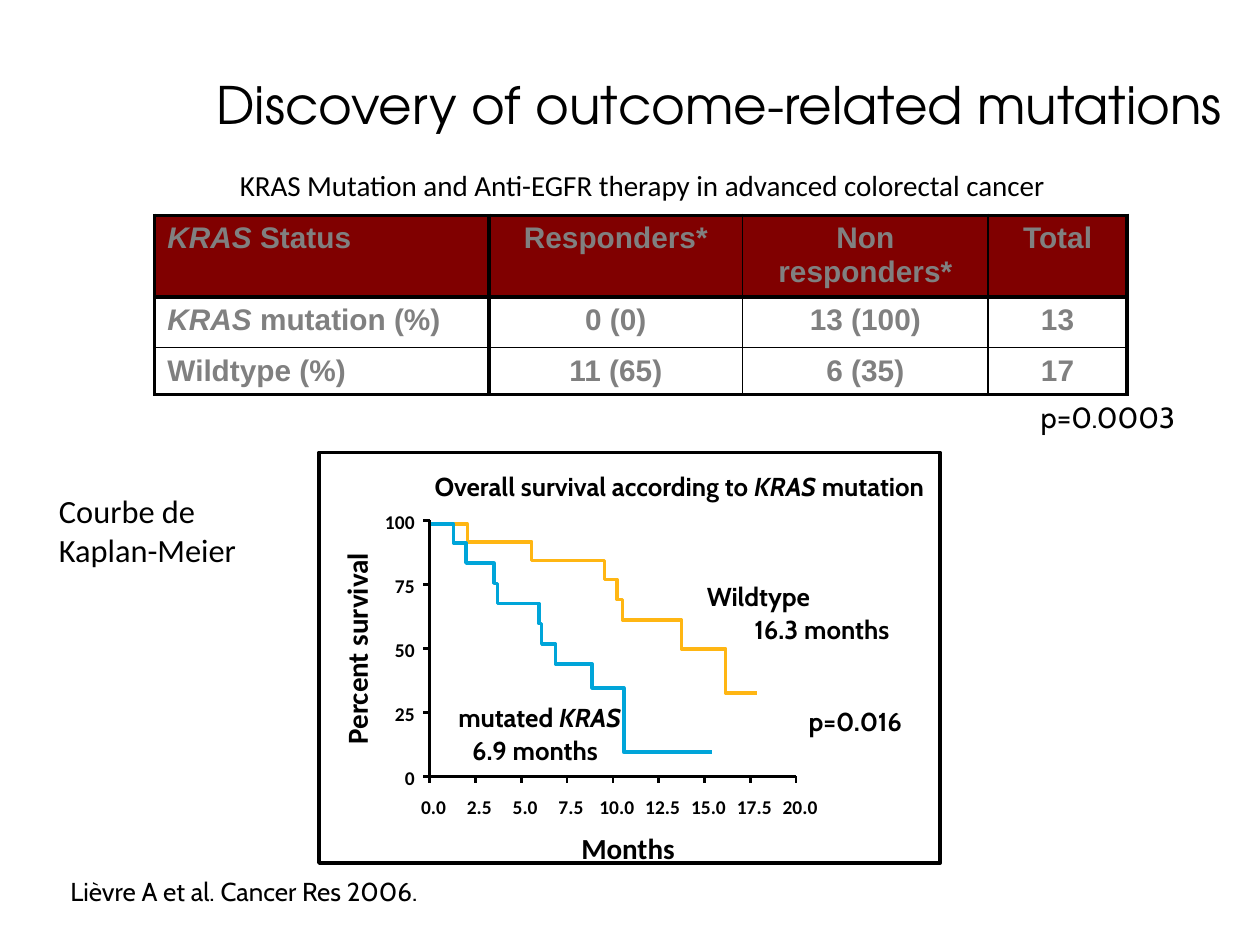
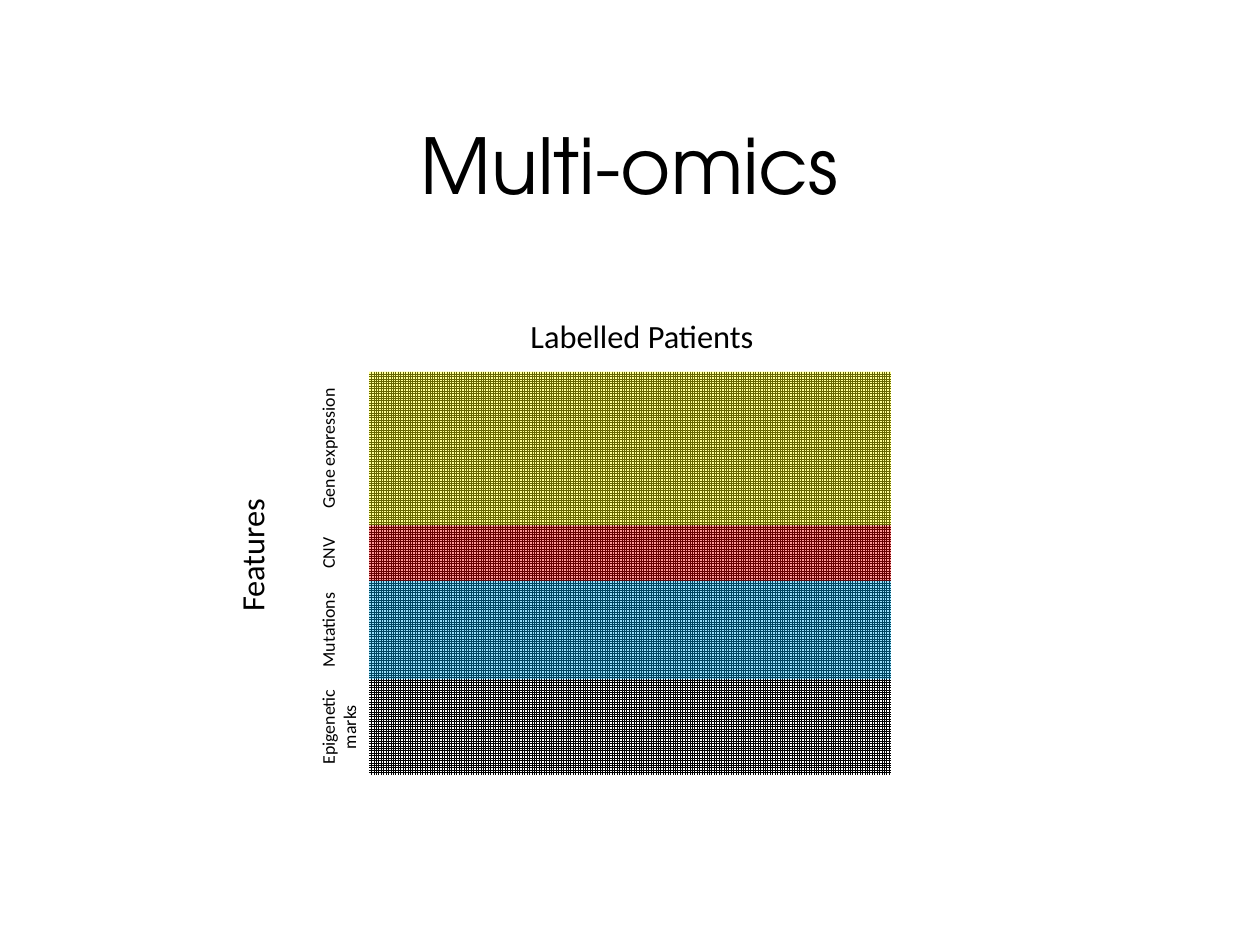
from dataclasses import dataclass

import pptx
import pptx.dml.color
import pptx.enum.dml
import pptx.enum.shapes
import pptx.enum.text
import pptx.oxml.ns
import pptx.util
from lxml import etree

Cm, Pt = pptx.util.Cm, pptx.util.Pt
RGB = pptx.dml.color.RGBColor.from_string
qn = pptx.oxml.ns.qn
ALIGN = pptx.enum.text.PP_ALIGN
ANCHOR = pptx.enum.text.MSO_ANCHOR
RECTANGLE = pptx.enum.shapes.MSO_SHAPE.RECTANGLE


@dataclass(frozen=True)
class Style:
    font: str
    size: float
    bold: bool = False
    color: str = "000000"


class Theme:
    black, white = "000000", "FFFFFF"
    table_header = "800000"
    wildtype, mutated = "FFB613", "00A5D9"
    expression, cnv, mutations = "FFFF00", "FF0000", "00B0F0"
    band_opacity = 40
    thick, thin = 2.25, 1
    curve_width, axis_width = 2, 1.5

    long_title = Style("TeX Gyre Adventor", 29.5)
    title = Style("TeX Gyre Adventor", 44)
    subtitle = Style("Calibri", 16.6)
    heading = Style("Calibri", 18.5)
    band_label = Style("Calibri", 10.2)
    cell = Style("Arial", 17, True, "808080")
    p_value = Style("Cabin", 16.6)
    citation = Style("Cabin", 14.8)
    annotation = Style("Cabin", 14.8, True)
    axis_title = Style("Calibri", 16.6, True)
    tick = Style("Calibri", 11.1, True)


# Content. A run is a string, or (string, True) when italic. Boxes are
# left, top, width, height in centimetres.
KRAS = ("KRAS", True)

RESPONSE_TITLE = "Discovery of outcome-related mutations"
RESPONSE_TEXTS = [
    (["KRAS Mutation and Anti-EGFR therapy in advanced colorectal cancer"],
     (2.97, 3.25, 19.94, 1.02), Theme.subtitle, ALIGN.CENTER),
    (["p=0.0003"], (20.73, 7.92, 3.33, 0.97), Theme.p_value, ALIGN.LEFT),
    (["Lièvre A et al. Cancer Res 2006."], (1.17, 17.53, 9.93, 0.89),
     Theme.citation, ALIGN.LEFT),
    (["Courbe de Kaplan-Meier"], (0.94, 9.78, 4.9, 1.83), Theme.heading, ALIGN.LEFT),
]

RESPONSE_ROWS = [
    [[KRAS, " Status"], ["Responders*"], ["Non responders*"], ["Total"]],
    [[KRAS, " mutation (%)"], ["0 (0)"], ["13 (100)"], ["13"]],
    [["Wildtype (%)"], ["11 (65)"], ["6 (35)"], ["17"]],
]
RESPONSE_ORIGIN = (3.12, 4.34)
RESPONSE_COLUMNS = [6.74, 5.11, 4.95, 2.8]
RESPONSE_HEIGHTS = [1.65, 1.02, 0.94]

SURVIVAL_FRAME = (6.43, 9.12, 12.52, 8.28)
SURVIVAL_AREA = (8.66, 10.49, 7.39, 5.16)
MAX_MONTHS, MAX_PERCENT = 20, 100
MONTH_TICKS = [2.5 * step for step in range(9)]
PERCENT_TICKS = range(0, 101, 25)
# Each pair is the month at which a level ends and the percent surviving until then.
SURVIVAL_CURVES = [
    (Theme.wildtype, [(2.06, 98.5), (5.57, 91.6), (9.55, 84.2), (10.24, 76.8),
                      (10.52, 69), (13.75, 61.1), (16.15, 49.8), (17.87, 32.5)]),
    (Theme.mutated, [(1.31, 98.5), (1.99, 91.1), (3.51, 83.3), (3.71, 75.4),
                     (5.98, 67.5), (6.12, 59.6), (6.87, 51.7), (8.87, 43.8),
                     (10.6, 34.5), (15.4, 9.4)]),
]
SURVIVAL_NOTES = [
    (["Overall survival according to ", KRAS, " mutation"], (8.51, 9.37, 10.4, 0.89)),
    (["Wildtype"], (14, 11.58, 2.79, 0.89)),
    (["16.3 months"], (14.96, 12.24, 3.53, 0.89)),
    (["mutated ", KRAS], (8.99, 14.02, 4.06, 0.89)),
    (["6.9 months"], (9.27, 14.68, 3.25, 0.89)),
    (["p=0.016"], (16.05, 14.1, 2.6, 0.89)),
]

OMICS_TITLE = "Multi-omics"
MATRIX = (7.44, 7.49, 10.52, 8.13)
# Label lines, band height, tint
OMICS_BANDS = [
    (["Gene expression"], 3.1, Theme.expression),
    (["CNV"], 1.12, Theme.cnv),
    (["Mutations"], 1.98, Theme.mutations),
    (["Epigenetic", "marks"], 1.93, None),
]
BAND_LABEL_LEFT, BAND_LABEL_LINE = 6.39, 0.43


def lengths(box):
    return [Cm(value) for value in box]


def add_runs(paragraph, runs, style, align):
    paragraph.alignment = align
    for item in runs:
        words, italic = (item, False) if isinstance(item, str) else item
        run = paragraph.add_run()
        run.text = words
        font = run.font
        font.name, font.size = style.font, Pt(style.size)
        font.bold, font.italic = style.bold, italic
        font.color.rgb = RGB(style.color)


def add_text(shapes, lines, box, style, align=ALIGN.LEFT, inset=True, upward=False):
    """Write lines of runs; upward text reads bottom to top inside the box."""
    left, top, width, height = box
    if upward:
        left, top = left + (width - height) / 2, top + (height - width) / 2
        width, height = height, width
    holder = shapes.add_textbox(*lengths((left, top, width, height)))
    if upward:
        holder.rotation = 270
    frame = holder.text_frame
    frame.word_wrap = True
    if not inset:
        frame.margin_left = frame.margin_right = 0
        frame.margin_top = frame.margin_bottom = 0
    for index, runs in enumerate(lines):
        paragraph = frame.add_paragraph() if index else frame.paragraphs[0]
        add_runs(paragraph, runs, style, align)


def add_titled_slide(deck, words, box, style, align, anchor):
    slide = deck.slides.add_slide(deck.slide_layouts[5])
    title = slide.shapes.title
    title.left, title.top, title.width, title.height = lengths(box)
    frame = title.text_frame
    frame.word_wrap = True
    frame.auto_size = pptx.enum.text.MSO_AUTO_SIZE.NONE
    frame.vertical_anchor = anchor
    add_runs(frame.paragraphs[0], [words], style, align)
    return slide


def add_rectangle(shapes, box):
    rectangle = shapes.add_shape(RECTANGLE, *lengths(box))
    rectangle.shadow.inherit = False
    rectangle.line.fill.background()
    return rectangle


def set_line(shape, color, width):
    shape.line.color.rgb = RGB(color)
    shape.line.width = Pt(width)


def add_axis_line(shapes, start, end):
    line = shapes.add_connector(pptx.enum.shapes.MSO_CONNECTOR.STRAIGHT,
                                *lengths(start + end))
    set_line(line, Theme.black, Theme.axis_width)
    etree.SubElement(line._element.spPr, qn("a:effectLst"))


def set_borders(cell, widths):
    properties = cell._tc.get_or_add_tcPr()
    for side, width in zip("LRTB", widths):
        border = etree.SubElement(properties, qn(f"a:ln{side}"), w=str(Pt(width)))
        fill = etree.SubElement(border, qn("a:solidFill"))
        etree.SubElement(fill, qn("a:srgbClr"), val=Theme.black)


def add_response_table(slide):
    row_count, column_count = len(RESPONSE_ROWS), len(RESPONSE_COLUMNS)
    box = (*RESPONSE_ORIGIN, sum(RESPONSE_COLUMNS), sum(RESPONSE_HEIGHTS))
    table = slide.shapes.add_table(row_count, column_count, *lengths(box)).table
    table.first_row = table.horz_banding = False
    for column, width in zip(table.columns, RESPONSE_COLUMNS):
        column.width = Cm(width)
    for row, height in zip(table.rows, RESPONSE_HEIGHTS):
        row.height = Cm(height)

    def rule(edge, last):
        """Outer rules and those next to the headings are thick."""
        return Theme.thick if edge in (0, 1, last) else Theme.thin

    for r, row in enumerate(RESPONSE_ROWS):
        for c, runs in enumerate(row):
            cell = table.cell(r, c)
            set_borders(cell, [rule(c, column_count), rule(c + 1, column_count),
                               rule(r, row_count), rule(r + 1, row_count)])
            if r == 0:
                cell.fill.solid()
                cell.fill.fore_color.rgb = RGB(Theme.table_header)
            else:
                cell.fill.background()
            add_runs(cell.text_frame.paragraphs[0], runs, Theme.cell,
                     ALIGN.CENTER if c else ALIGN.LEFT)


def add_survival_plot(slide):
    shapes = slide.shapes.add_group_shape().shapes
    left, top, width, height = SURVIVAL_AREA
    right, bottom = left + width, top + height
    tick_length, label_height = 0.13, 0.48

    def place(month, percent):
        return (left + width * month / MAX_MONTHS,
                bottom - height * percent / MAX_PERCENT)

    frame = add_rectangle(shapes, SURVIVAL_FRAME)
    frame.fill.solid()
    frame.fill.fore_color.rgb = RGB(Theme.white)
    set_line(frame, Theme.black, 2)

    for runs, box in SURVIVAL_NOTES:
        add_text(shapes, [runs], box, Theme.annotation)

    for color, levels in SURVIVAL_CURVES:
        points, month = [], 0
        for end, percent in levels:
            points += [lengths(place(month, percent)), lengths(place(end, percent))]
            month = end
        builder = shapes.build_freeform(*points[0])
        builder.add_line_segments(points[1:], close=False)
        curve = builder.convert_to_shape()
        curve.shadow.inherit = False
        curve.fill.background()
        set_line(curve, color, Theme.curve_width)

    add_axis_line(shapes, (left, top), (left, bottom))
    add_axis_line(shapes, (left, bottom), (right, bottom))
    for percent in PERCENT_TICKS:
        x, y = place(0, percent)
        add_axis_line(shapes, (x - tick_length, y), (x, y))
        add_text(shapes, [[str(percent)]], (x - 1.1, y - 0.21, 0.8, label_height),
                 Theme.tick, ALIGN.RIGHT, inset=False)
    for month in MONTH_TICKS:
        x, y = place(month, 0)
        add_axis_line(shapes, (x, y + tick_length), (x, y))
        add_text(shapes, [[f"{month:.1f}"]], (x - 0.37, y + 0.38, 0.9, label_height),
                 Theme.tick, ALIGN.CENTER, inset=False)
    add_text(shapes, [["Months"]], (11.41, 16.74, 2.5, 0.71),
             Theme.axis_title, ALIGN.CENTER, inset=False)
    add_text(shapes, [["Percent survival"]], (6.83, 10.78, 0.71, 4.6),
             Theme.axis_title, ALIGN.CENTER, inset=False, upward=True)


def add_omics_matrix(slide):
    left, top, width, _ = MATRIX
    grid = add_rectangle(slide.shapes, MATRIX)
    grid.fill.patterned()
    grid.fill.pattern = pptx.enum.dml.MSO_PATTERN.SMALL_GRID
    grid.fill.fore_color.rgb = RGB(Theme.black)
    grid.fill.back_color.rgb = RGB(Theme.white)

    for lines, height, tint in OMICS_BANDS:
        label_box = (BAND_LABEL_LEFT, top, BAND_LABEL_LINE * len(lines), height)
        add_text(slide.shapes, [[line] for line in lines], label_box,
                 Theme.band_label, ALIGN.CENTER, inset=False, upward=True)
        if tint:
            band = add_rectangle(slide.shapes, (left, top, width, height))
            band.fill.solid()
            band.fill.fore_color.rgb = RGB(tint)
            color = band._element.spPr.find(qn("a:solidFill")).find(qn("a:srgbClr"))
            etree.SubElement(color, qn("a:alpha"), val=str(Theme.band_opacity * 1000))
        top += height


def main():
    deck = pptx.Presentation()
    deck.slide_width, deck.slide_height = Cm(25.4), Cm(19.05)

    response = add_titled_slide(deck, RESPONSE_TITLE, (4.11, 1.35, 21.11, 1.52),
                                Theme.long_title, ALIGN.LEFT, ANCHOR.TOP)
    add_response_table(response)
    for runs, box, style, align in RESPONSE_TEXTS:
        add_text(response.shapes, [runs], box, style, align)
    add_survival_plot(response)

    omics = add_titled_slide(deck, OMICS_TITLE, (1.9, 1.7, 21.6, 3.18),
                             Theme.title, ALIGN.CENTER, ANCHOR.MIDDLE)
    add_omics_matrix(omics)
    add_text(omics.shapes, [["Labelled Patients"]], (10.19, 6.25, 5.5, 1.04),
             Theme.heading, ALIGN.CENTER)
    add_text(omics.shapes, [["Features"]], (4.55, 9.54, 1.04, 3.3),
             Theme.heading, ALIGN.CENTER, upward=True)

    deck.save("out.pptx")


if __name__ == "__main__":
    main()
